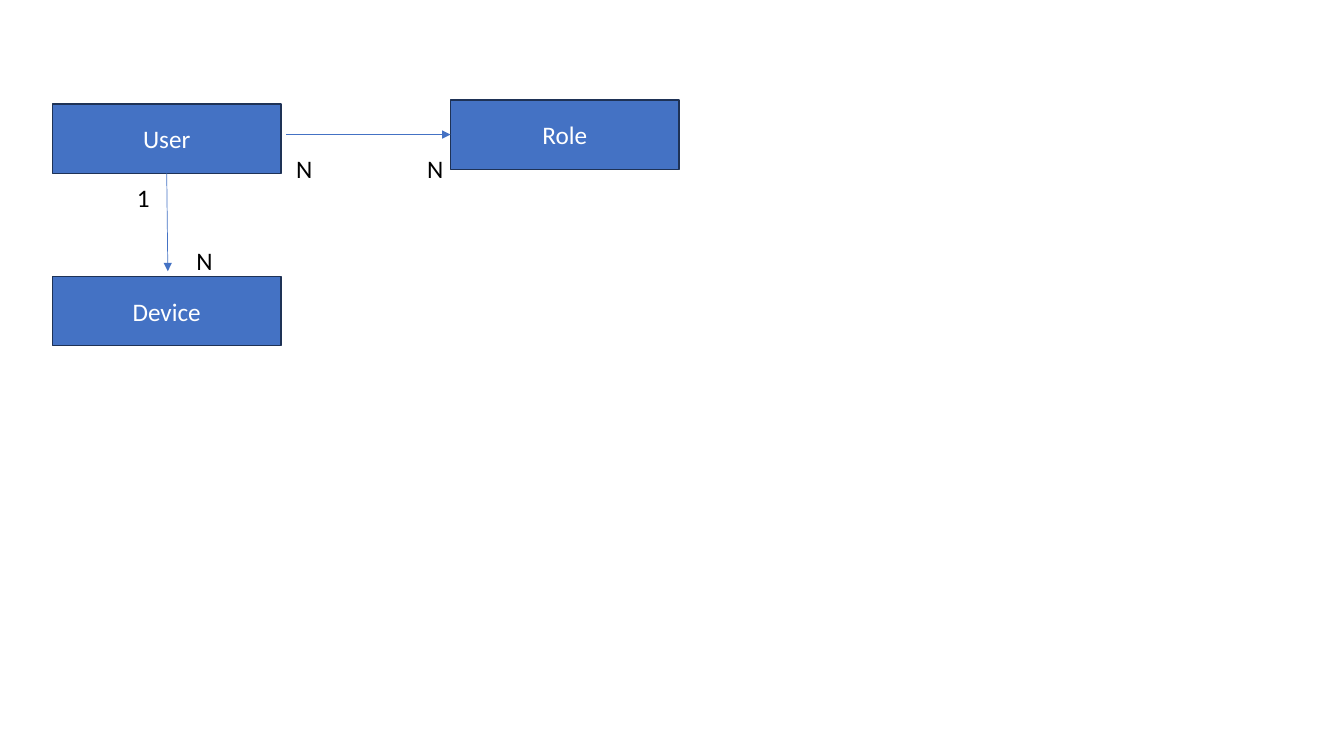
import pptx
import pptx.util
import pptx.dml.color
import pptx.enum.shapes
import pptx.enum.text
import pptx.oxml
import pptx.oxml.ns
import lxml.etree

Pt = pptx.util.Pt


def color(hex_string):
    return pptx.dml.color.RGBColor.from_string(hex_string)


def write(frame, text, text_color, alignment, anchor):
    frame.word_wrap = True
    frame.vertical_anchor = anchor
    paragraph = frame.paragraphs[0]
    paragraph.alignment = alignment
    run = paragraph.add_run()
    run.text = text
    run.font.name = "Calibri"
    run.font.size = Pt(18)
    run.font.color.rgb = color(text_color)


align = pptx.enum.text.PP_ALIGN
anchors = pptx.enum.text.MSO_ANCHOR

presentation = pptx.Presentation()
presentation.slide_width = Pt(960)
presentation.slide_height = Pt(540)
slide = presentation.slides.add_slide(presentation.slide_layouts[6])

entities = {}
for entity, left, top in [
    ("User", 37.4, 74.2),
    ("Role", 321.8, 71.3),
    ("Device", 37.4, 197.3),
]:
    box = slide.shapes.add_shape(
        pptx.enum.shapes.MSO_SHAPE.RECTANGLE, Pt(left), Pt(top), Pt(163.4), Pt(49.7)
    )
    box.shadow.inherit = False
    box.fill.solid()
    box.fill.fore_color.rgb = color("4472C4")
    box.line.color.rgb = color("1E3256")
    box.line.width = Pt(1)
    write(box.text_frame, entity, "FFFFFF", align.CENTER, anchors.MIDDLE)
    entities[entity] = box

straight = pptx.enum.shapes.MSO_CONNECTOR.STRAIGHT
user_role = slide.shapes.add_connector(straight, Pt(204.5), Pt(96.15), Pt(321.8), Pt(96.15))
user_role.end_connect(entities["Role"], 1)
user_device = slide.shapes.add_connector(straight, Pt(119.1), Pt(123.9), Pt(119.9), Pt(193.7))
user_device.begin_connect(entities["User"], 2)

for relation in (user_role, user_device):
    relation.line.color.rgb = color("4472C4")
    relation.line.width = Pt(0.5)
    arrowhead = lxml.etree.SubElement(
        relation.line._get_or_add_ln(), pptx.oxml.ns.qn("a:tailEnd")
    )
    arrowhead.set("type", "triangle")
    lxml.etree.SubElement(relation._element.spPr, pptx.oxml.ns.qn("a:effectLst"))

for cardinality, left, top, width in [
    ("N", 204.5, 105.8, 21.6),
    ("N", 298.1, 105.8, 20.2),
    ("N", 133.2, 171.4, 27.4),
    ("1", 90.7, 126.7, 22.3),
]:
    label = slide.shapes.add_textbox(Pt(left), Pt(top), Pt(width), Pt(29))
    write(label.text_frame, cardinality, "000000", align.LEFT, anchors.TOP)
    label.text_frame.auto_size = pptx.enum.text.MSO_AUTO_SIZE.SHAPE_TO_FIT_TEXT

presentation.save("out.pptx")
